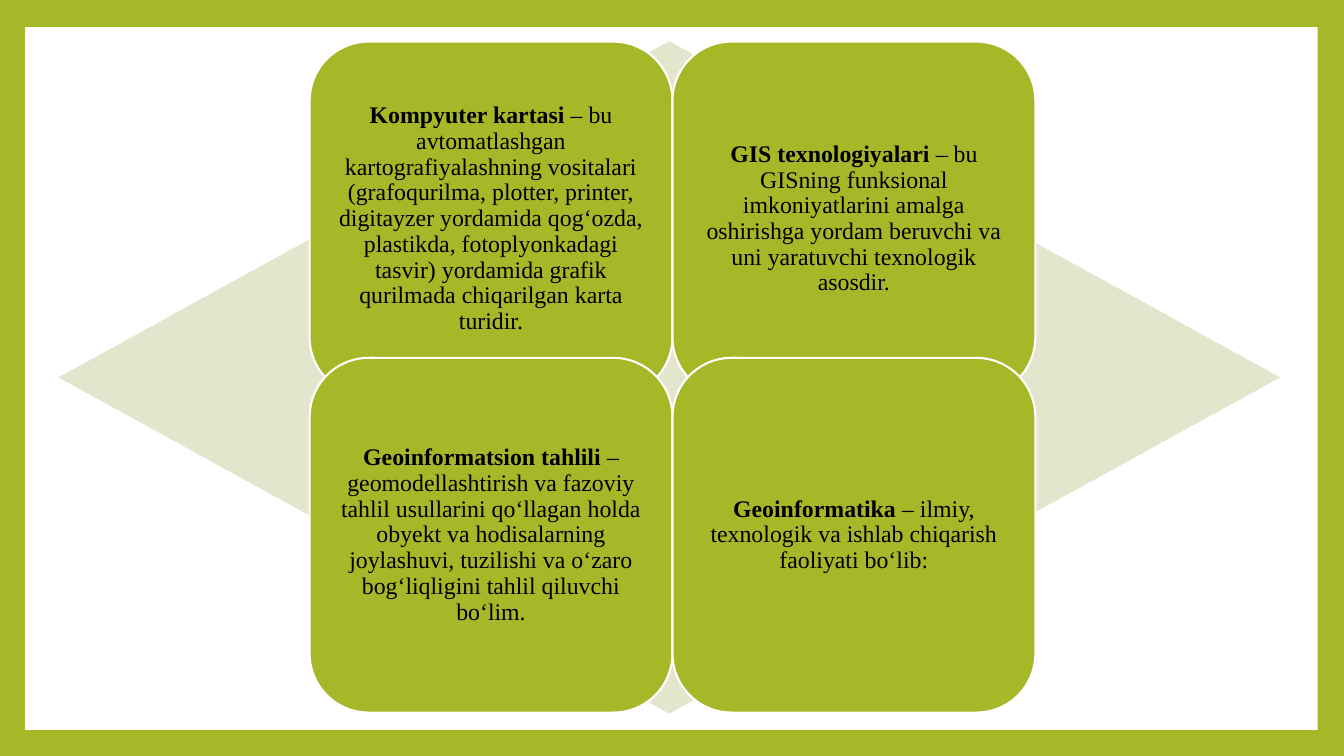
from pptx import Presentation
from pptx.dml.color import RGBColor
from pptx.enum.shapes import MSO_SHAPE
from pptx.enum.text import MSO_ANCHOR, PP_ALIGN
from pptx.util import Pt

GREEN = RGBColor(0xA6, 0xB7, 0x27)
PALE_GREEN = RGBColor(0xE1, 0xE6, 0xCD)
WHITE = RGBColor(0xFF, 0xFF, 0xFF)
BLACK = RGBColor(0, 0, 0)

CARD_WIDTH, CARD_HEIGHT = 259.2, 253.4
CARD_LEFT, CARD_TOP = 221.2, 29.7
ROW_STEP = 225.9

DEFINITIONS = [
    ("Kоmpyuter kartasi",
     " – bu avtomatlashgan kartografiyalashning vositalari (grafoqurilma, plotter, "
     "printer, digitayzer yordamida qogʻozda, plastikda, fotoplyonkadagi tasvir) "
     "yordamida grafik qurilmada chiqarilgan karta turidir."),
    ("GIS teхnologiyalari",
     " – bu GISning funksional imkoniyatlarini amalga oshirishga yordam beruvchi "
     "va uni yaratuvchi teхnologik asosdir."),
    ("Geоinfоrmаtsiоn tahlili",
     " – geomodellashtirish va fazoviy tahlil usullarini qoʻllagan holda obyekt va "
     "hodisalarning joylashuvi, tuzilishi va oʻzaro bogʻliqligini tahlil qiluvchi boʻlim."),
    ("Geoinformatika",
     " – ilmiy, teхnologik va ishlab chiqarish faoliyati boʻlib:"),
]


class SlideBuilder:
    font_name = "Times New Roman"
    font_size = Pt(17)
    inset = Pt(5)

    def __init__(self, page):
        self.page = page

    def background(self, color):
        fill = self.page.background.fill
        fill.solid()
        fill.fore_color.rgb = color

    def shape(self, kind, left, top, width, height, color):
        shape = self.page.shapes.add_shape(kind, Pt(left), Pt(top), Pt(width), Pt(height))
        shape.shadow.inherit = False
        shape.fill.solid()
        shape.fill.fore_color.rgb = color
        shape.line.fill.background()
        return shape

    def card(self, left, top, term, meaning):
        card = self.shape(MSO_SHAPE.ROUNDED_RECTANGLE, left, top, CARD_WIDTH, CARD_HEIGHT, GREEN)
        card.line.color.rgb = WHITE
        card.line.width = Pt(1.5)
        frame = card.text_frame
        frame.word_wrap = True
        frame.vertical_anchor = MSO_ANCHOR.MIDDLE
        frame.margin_left = frame.margin_right = self.inset
        frame.margin_top = frame.margin_bottom = self.inset
        para = frame.paragraphs[0]
        para.alignment = PP_ALIGN.CENTER
        para.line_spacing = 0.9
        para.space_after = Pt(6)
        para.font.name = self.font_name
        para.font.size = self.font_size
        para.font.color.rgb = BLACK
        for text, bold in ((term, True), (meaning, False)):
            span = para.add_run()
            span.text = text
            span.font.bold = bold


def main():
    deck = Presentation()
    deck.slide_width, deck.slide_height = Pt(960), Pt(540)
    builder = SlideBuilder(deck.slides.add_slide(deck.slide_layouts[6]))
    builder.background(GREEN)
    builder.shape(MSO_SHAPE.RECTANGLE, 18, 19.3, 923.2, 502, WHITE)
    builder.shape(MSO_SHAPE.DIAMOND, 41.8, 29.5, 872.6, 480.2, PALE_GREEN)
    for index, (term, meaning) in enumerate(DEFINITIONS):
        row, column = divmod(index, 2)
        builder.card(CARD_LEFT + column * CARD_WIDTH, CARD_TOP + row * ROW_STEP, term, meaning)
    deck.save("out.pptx")


if __name__ == "__main__":
    main()
